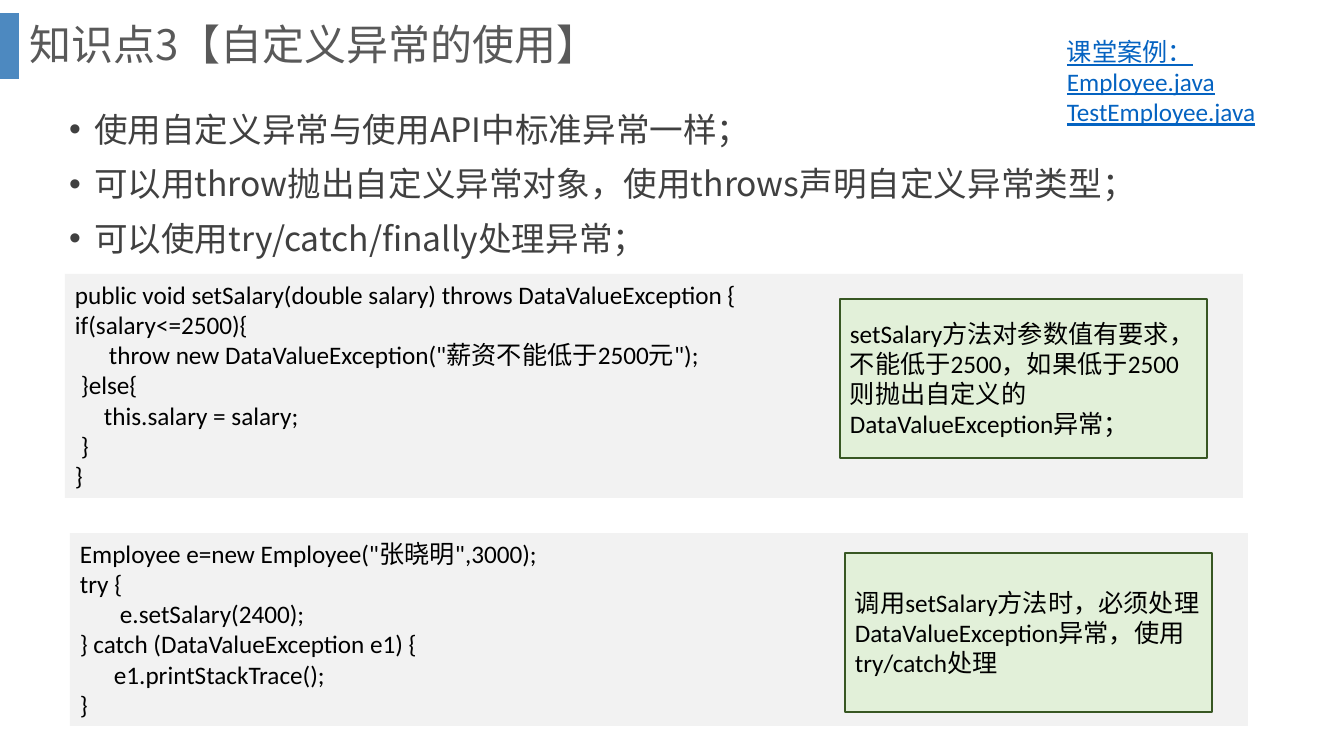
from pptx import Presentation, util as u
from pptx.dml.color import RGBColor
from pptx.enum import shapes, text
from pptx.oxml.ns import qn
from lxml import etree

PX = 914400 / 100.8
BLUE = RGBColor(0x2E, 0x75, 0xB6)
LINK = RGBColor(0x05, 0x63, 0xC1)
GREY = RGBColor(0x59, 0x59, 0x59)
DARK = RGBColor(0x40, 0x40, 0x40)
BLACK = RGBColor(0, 0, 0)
PALE = RGBColor(0xF2, 0xF2, 0xF2)
MINT = RGBColor(0xE2, 0xF0, 0xD9)
GREEN = RGBColor(0x38, 0x57, 0x23)
LATIN, CJK = "Calibri", "Noto Sans CJK SC"
ANCHOR = text.MSO_ANCHOR


def emu(px):
    return u.Emu(round(px * PX))


def place(part, box):
    part.left, part.top, part.width, part.height = map(emu, box)


def write(part, lines, size, color, font=LATIN, anchor=ANCHOR.TOP, under=None):
    frame = part.text_frame
    frame.text = "\n".join(lines)
    frame.word_wrap = True
    frame.auto_size = text.MSO_AUTO_SIZE.NONE
    frame.vertical_anchor = anchor
    for para in frame.paragraphs:
        para.alignment = text.PP_ALIGN.LEFT
        for run in para.runs:
            run.font.size = u.Pt(size)
            run.font.name = font
            run.font.color.rgb = color
            run.font.underline = under
            east = etree.SubElement(run.font._element, qn("a:ea"))
            east.set("typeface", CJK)
    return frame.paragraphs


def indent(para, left, hang=0):
    props = para._p.get_or_add_pPr()
    props.set("marL", str(emu(left)))
    props.set("indent", str(emu(-hang)))
    return props


def panel(slide, box, fill, line=None):
    x, y, w, h = map(emu, box)
    rect = slide.shapes.add_shape(shapes.MSO_SHAPE.RECTANGLE, x, y, w, h)
    rect.shadow.inherit = False
    rect.fill.solid()
    rect.fill.fore_color.rgb = fill
    if line is None:
        rect.line.fill.background()
    else:
        rect.line.color.rgb = line
        rect.line.width = u.Pt(1)
    return rect


def header(slide, box, words):
    x, y, w, h = box
    # Translucent accent bar at the slide edge
    bar = panel(slide, (x, y + 13, 19, 66), BLUE)
    tint = bar.fill._xPr.find(qn("a:solidFill"))[0]
    etree.SubElement(tint, qn("a:alpha")).set("val", "85000")
    # Title
    title = slide.shapes.title
    place(title, (x + 19, y, w - 19, h))
    para, = write(title, [words], 30, GREY, CJK, ANCHOR.MIDDLE)
    para.line_spacing = 0.9


def points(slide, box, lines):
    body = slide.placeholders[1]
    place(body, box)
    for para in write(body, lines, 24, DARK, CJK):
        para.space_before = u.Pt(10)
        props = indent(para, 25, 25)
        etree.SubElement(props, qn("a:buFont")).set("typeface", "Arial")
        etree.SubElement(props, qn("a:buChar")).set("char", "•")


def links(slide, box, lines):
    label = slide.shapes.add_textbox(*map(emu, box))
    write(label, lines, 18, LINK, under=True)


def sample(slide, box, code, note, drop):
    x, y, w, h = box
    # Code listing: pairs of indent and line
    block = panel(slide, box, PALE)
    paras = write(block, [line for _, line in code], 18, BLACK)
    for para, (left, _) in zip(paras, code):
        indent(para, left)
    # Explanation on the right
    hint = panel(slide, (x + 775, y + drop, 367, 159), MINT, GREEN)
    write(hint, [note], 18, BLACK, anchor=ANCHOR.MIDDLE)


deck = Presentation()
deck.slide_width, deck.slide_height = emu(1344), emu(756)
slide = deck.slides.add_slide(deck.slide_layouts[1])

header(slide, (0, 0, 1295, 94), "知识点3【自定义异常的使用】")
points(slide, (59, 104, 1215, 171), [
    "使用自定义异常与使用API中标准异常一样；",
    "可以用throw抛出自定义异常对象，使用throws声明自定义异常类型；",
    "可以使用try/catch/finally处理异常；",
])
links(slide, (1057, 31, 230, 102),
      ["课堂案例：Employee.java", "TestEmployee.java"])
sample(slide, (65, 274, 1178, 224), [
    (0, "public void setSalary(double salary) throws DataValueException {"),
    (0, "if(salary<=2500){"),
    (34, 'throw new DataValueException("薪资不能低于2500元");'),
    (6, "}else{"),
    (29, "this.salary = salary;"),
    (6, "}"),
    (0, "}"),
], "setSalary方法对参数值有要求，不能低于2500，如果低于2500则抛出自定义的"
   "DataValueException异常；", 25)
sample(slide, (70, 533, 1178, 193), [
    (0, 'Employee e=new Employee("张晓明",3000);'),
    (0, "try {"),
    (40, "e.setSalary(2400);"),
    (0, "} catch (DataValueException e1) {"),
    (34, "e1.printStackTrace();"),
    (0, "}"),
], "调用setSalary方法时，必须处理DataValueException异常，使用try/catch处理", 20)

deck.save("out.pptx")
